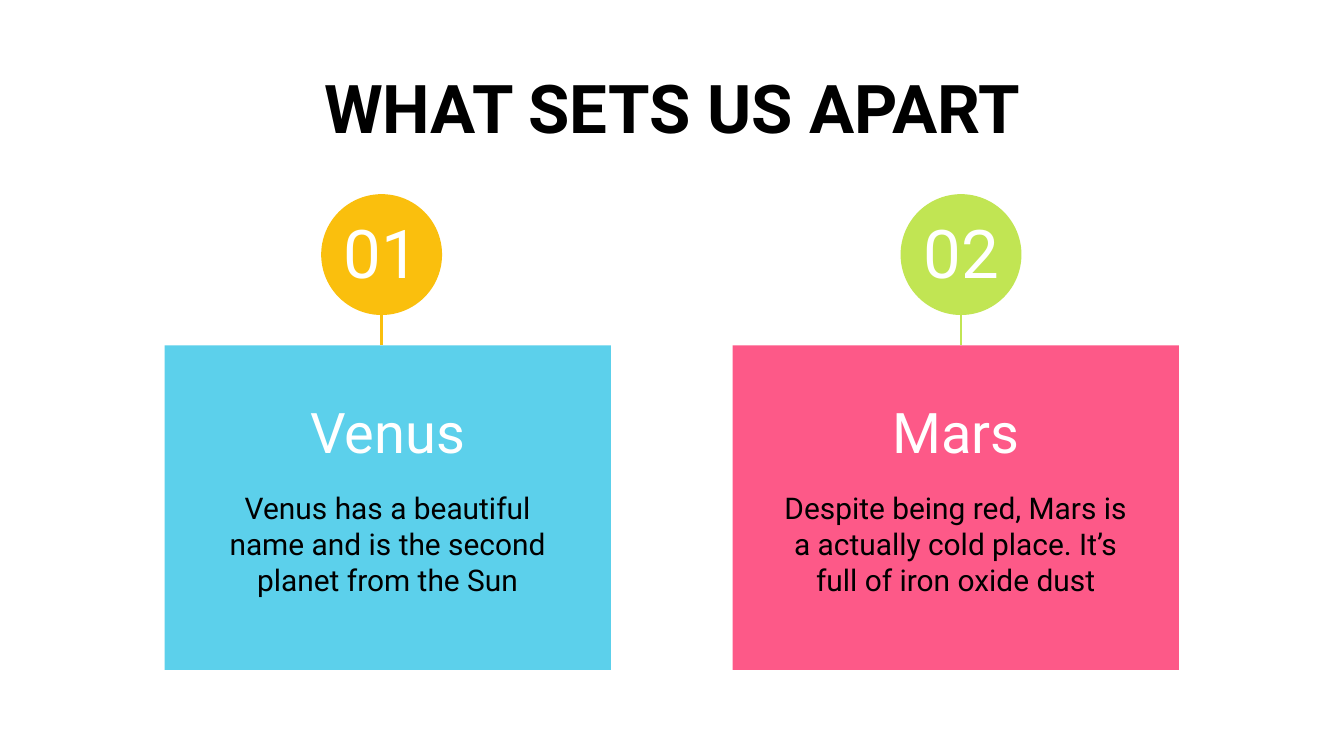
from dataclasses import dataclass

from lxml import etree
from pptx import Presentation
from pptx import util as u
from pptx.dml.color import RGBColor
from pptx.enum import shapes, text
from pptx.oxml.ns import qn
from pptx.shapes.base import BaseShape
from pptx.slide import Slide


@dataclass(frozen=True)
class Theme:
    font: str = "Roboto"
    black: str = "000000"
    white: str = "FFFFFF"
    title_size: int = 72
    number_size: int = 72
    planet_size: int = 60
    fact_size: int = 32
    stem_width: int = 3


@dataclass(frozen=True)
class Planet:
    number: str
    name: str
    fact: str
    card_left: float
    badge_left: float
    card_color: str
    badge_color: str


THEME = Theme()

# Lengths in centimetres
CARD_TOP, CARD_WIDTH, CARD_HEIGHT = 13.06, 16.87, 12.27
BADGE_TOP, BADGE_SIZE = 7.34, 4.57
INSET = 0.51

PLANETS = [
    Planet("01", "Venus",
           "Venus has a beautiful name and is the second planet from the Sun",
           6.22, 12.14, "5CD0EB", "FABF0D"),
    Planet("02", "Mars",
           "Despite being red, Mars is a actually cold place. It’s full of iron oxide dust",
           27.69, 34.04, "FD5988", "C1E553"),
]


def write(box: BaseShape, words: str, size: int, color: str,
          anchor: text.MSO_ANCHOR, bold: bool = False) -> None:
    """Fill a box with one centred paragraph in the theme font."""
    frame = box.text_frame
    frame.text = words
    frame.word_wrap = True
    frame.auto_size = text.MSO_AUTO_SIZE.NONE
    frame.vertical_anchor = anchor
    frame.margin_left = frame.margin_right = u.Cm(INSET)
    frame.margin_top = frame.margin_bottom = u.Cm(INSET)
    paragraph = frame.paragraphs[0]
    paragraph.alignment = text.PP_ALIGN.CENTER
    paragraph.line_spacing = 1.0
    paragraph.space_before = u.Pt(0)
    font = paragraph.runs[0].font
    font.name, font.size, font.bold = THEME.font, u.Pt(size), bold
    font.color.rgb = RGBColor.from_string(color)


def add_label(slide: Slide, words: str, center: float, top: float, width: float,
              height: float, size: int, color: str, anchor: text.MSO_ANCHOR) -> None:
    label = slide.shapes.add_textbox(u.Cm(center - width / 2), u.Cm(top),
                                     u.Cm(width), u.Cm(height))
    write(label, words, size, color, anchor)


def add_block(slide: Slide, kind: shapes.MSO_SHAPE, left: float, top: float,
              width: float, height: float, color: str) -> None:
    block = slide.shapes.add_shape(kind, u.Cm(left), u.Cm(top), u.Cm(width), u.Cm(height))
    block.shadow.inherit = False
    block.fill.solid()
    block.fill.fore_color.rgb = RGBColor.from_string(color)
    block.line.fill.background()


def add_stem(slide: Slide, center: float, top: float, bottom: float, color: str) -> None:
    stem = slide.shapes.add_connector(shapes.MSO_CONNECTOR.STRAIGHT, u.Cm(center),
                                      u.Cm(top), u.Cm(center), u.Cm(bottom))
    stem.line.color.rgb = RGBColor.from_string(color)
    stem.line.width = u.Pt(THEME.stem_width)
    etree.SubElement(stem._element.spPr, qn("a:effectLst"))


def add_planet(slide: Slide, planet: Planet) -> None:
    card_center = planet.card_left + CARD_WIDTH / 2
    badge_center = planet.badge_left + BADGE_SIZE / 2

    # Card with name and fact
    add_block(slide, shapes.MSO_SHAPE.RECTANGLE, planet.card_left, CARD_TOP,
              CARD_WIDTH, CARD_HEIGHT, planet.card_color)
    add_label(slide, planet.name, card_center, 14.88, 13.18, 3.18,
              THEME.planet_size, THEME.white, text.MSO_ANCHOR.BOTTOM)
    add_label(slide, planet.fact, card_center, 18.01, 14.1, 5.49,
              THEME.fact_size, THEME.black, text.MSO_ANCHOR.TOP)

    # Numbered badge on its stem
    add_block(slide, shapes.MSO_SHAPE.OVAL, planet.badge_left, BADGE_TOP,
              BADGE_SIZE, BADGE_SIZE, planet.badge_color)
    add_label(slide, planet.number, badge_center, 9.07, 4.88, 0.91,
              THEME.number_size, THEME.white, text.MSO_ANCHOR.MIDDLE)
    add_stem(slide, badge_center, BADGE_TOP + BADGE_SIZE, CARD_TOP, planet.badge_color)


def main() -> None:
    deck = Presentation()
    deck.slide_width, deck.slide_height = u.Cm(50.8), u.Cm(28.58)
    slide = deck.slides.add_slide(deck.slide_layouts[5])

    # Title
    title = slide.shapes.title
    title.left, title.top = u.Cm(3.66), u.Cm(2.01)
    title.width, title.height = u.Cm(43.51), u.Cm(3.18)
    write(title, "WHAT SETS US APART", THEME.title_size, THEME.black,
          text.MSO_ANCHOR.TOP, bold=True)

    # Planets side by side
    for planet in PLANETS:
        add_planet(slide, planet)

    deck.save("out.pptx")


if __name__ == "__main__":
    main()
